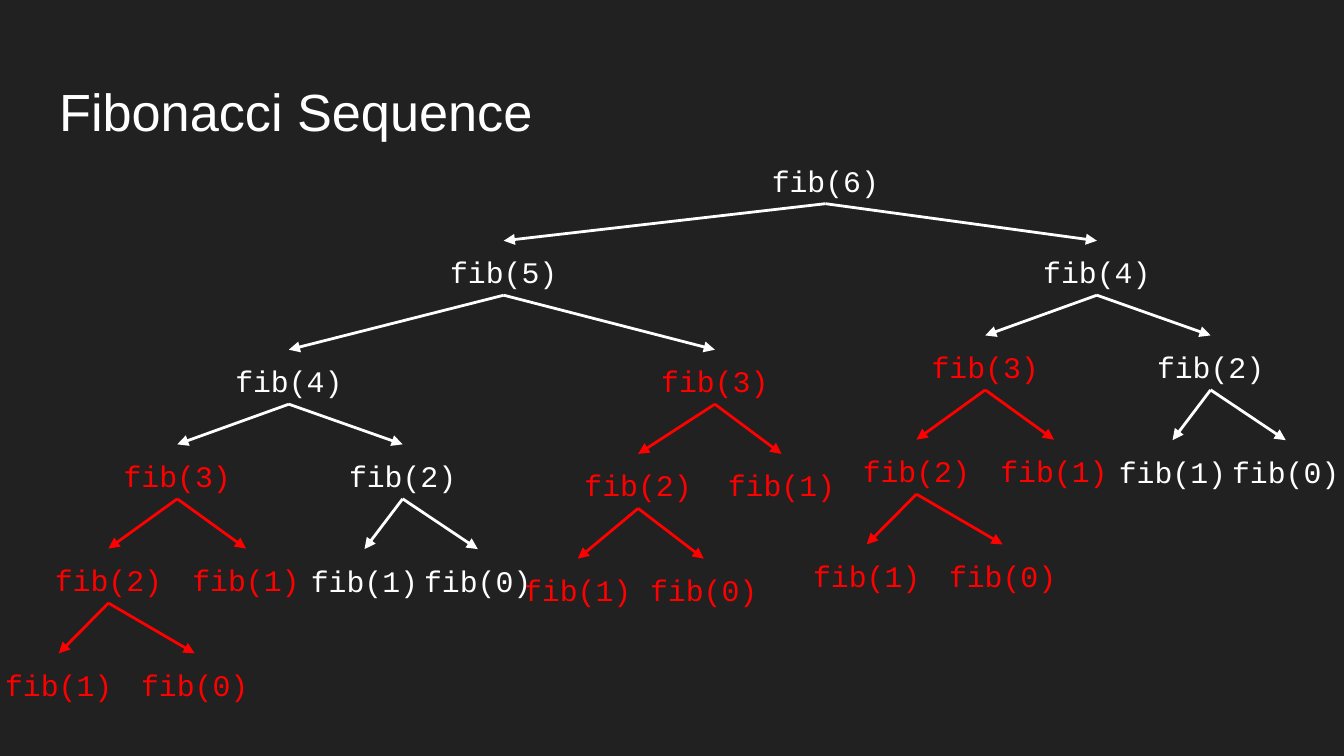
from dataclasses import dataclass

from lxml import etree
from pptx import Presentation
from pptx.dml.color import RGBColor
from pptx.enum.shapes import MSO_CONNECTOR as Connector
from pptx.enum.text import MSO_ANCHOR as Anchor, PP_ALIGN as Align
from pptx.oxml.ns import qn
from pptx.util import Cm, Pt

COLORS = {"background": "212121", "white": "FFFFFF", "red": "FF0000"}
NODE_WIDTH, NODE_HEIGHT, LEAF_HEIGHT = 2.7, 1.03, 1.6


@dataclass
class Call:
    """One call of fib; each branch is (horizontal offset in cm, child call)."""
    n: int
    color: str = "white"
    drop: float = 0
    branches: tuple = ()


class TreeSlide:
    title_font, code_font = "Arial", "Courier New"
    title_size, code_size = 28, 16
    line_width, inset = 1.5, 0.25

    def __init__(self, page):
        self.page = page
        fill = page.background.fill
        fill.solid()
        fill.fore_color.rgb = RGBColor.from_string(COLORS["background"])

    def text(self, words, left, top, width, height, font, size, color, align):
        box = self.page.shapes.add_textbox(Cm(left), Cm(top), Cm(width), Cm(height))
        frame = box.text_frame
        frame.word_wrap = True
        frame.vertical_anchor = Anchor.TOP
        frame.margin_left = frame.margin_right = Cm(self.inset)
        frame.margin_top = frame.margin_bottom = Cm(self.inset)
        frame.text = words
        para = frame.paragraphs[0]
        para.alignment = align
        span = para.runs[0]
        span.font.name = font
        span.font.size = Pt(size)
        span.font.color.rgb = RGBColor.from_string(COLORS[color])
        return box

    def title(self, words):
        self.text(words, 0.87, 1.24, 23.67, 1.6, self.title_font,
                  self.title_size, "white", Align.LEFT)

    def arrow(self, parent, child, color):
        arrow = self.page.shapes.add_connector(Connector.STRAIGHT, 0, 0, 0, 0)
        arrow.begin_connect(parent, 2)
        arrow.end_connect(child, 0)
        arrow.line.width = Pt(self.line_width)
        arrow.line.color.rgb = RGBColor.from_string(COLORS[color])
        line = arrow.line._get_or_add_ln()
        etree.SubElement(line, qn("a:tailEnd"), type="triangle")
        etree.SubElement(arrow._element.spPr, qn("a:effectLst"))

    def tree(self, call, center, top):
        height = NODE_HEIGHT if call.branches else LEAF_HEIGHT
        box = self.text(f"fib({call.n})", center - NODE_WIDTH / 2, top, NODE_WIDTH,
                        height, self.code_font, self.code_size, call.color, Align.CENTER)
        for offset, child in call.branches:
            child_box = self.tree(child, center + offset, top + call.drop)
            self.arrow(box, child_box, call.color)
        return box


# Subtrees, from the smallest call up
def fib2(color, left, right):
    return Call(2, color, 1.98, ((left, Call(1, color)), (right, Call(0, color))))


def fib3(left, right, pair):
    return Call(3, "red", 1.97, ((left, fib2("red", *pair)), (right, Call(1, "red"))))


fib4 = Call(4, drop=1.79, branches=(
    (-2.11, fib3(-1.3, 1.3, (-0.94, 1.63))),
    (2.15, fib2("white", -0.72, 1.42))))
fib5 = Call(5, drop=2.06, branches=(
    (-4.06, fib4),
    (3.99, fib3(-1.45, 1.26, (-1.14, 1.24)))))
fib6 = Call(6, drop=1.73, branches=((-6.08, fib5), (5.13, fib4)))

# Deck
deck = Presentation()
deck.slide_width, deck.slide_height = Cm(25.4), Cm(14.29)
slide = TreeSlide(deck.slides.add_slide(deck.slide_layouts[6]))

# Title and call tree
slide.title("Fibonacci Sequence")
slide.tree(fib6, center=15.6, top=2.82)

deck.save("out.pptx")
